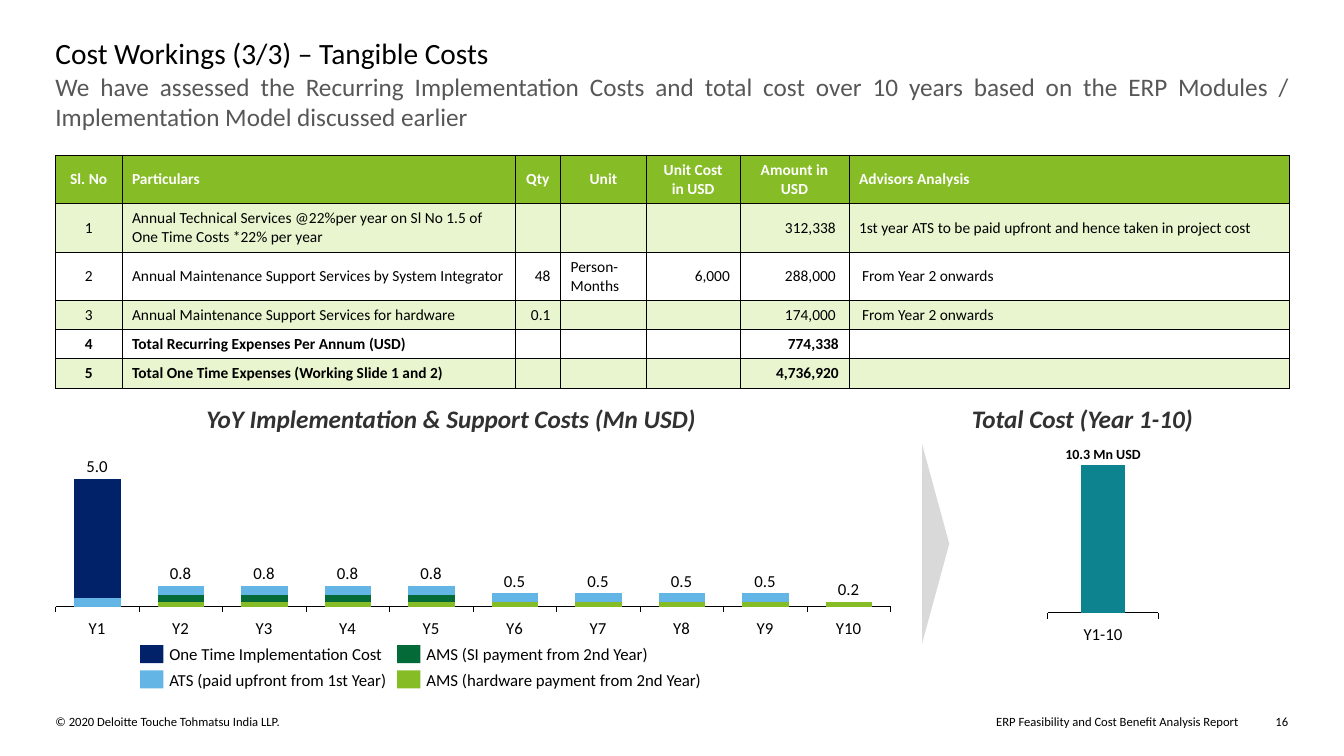
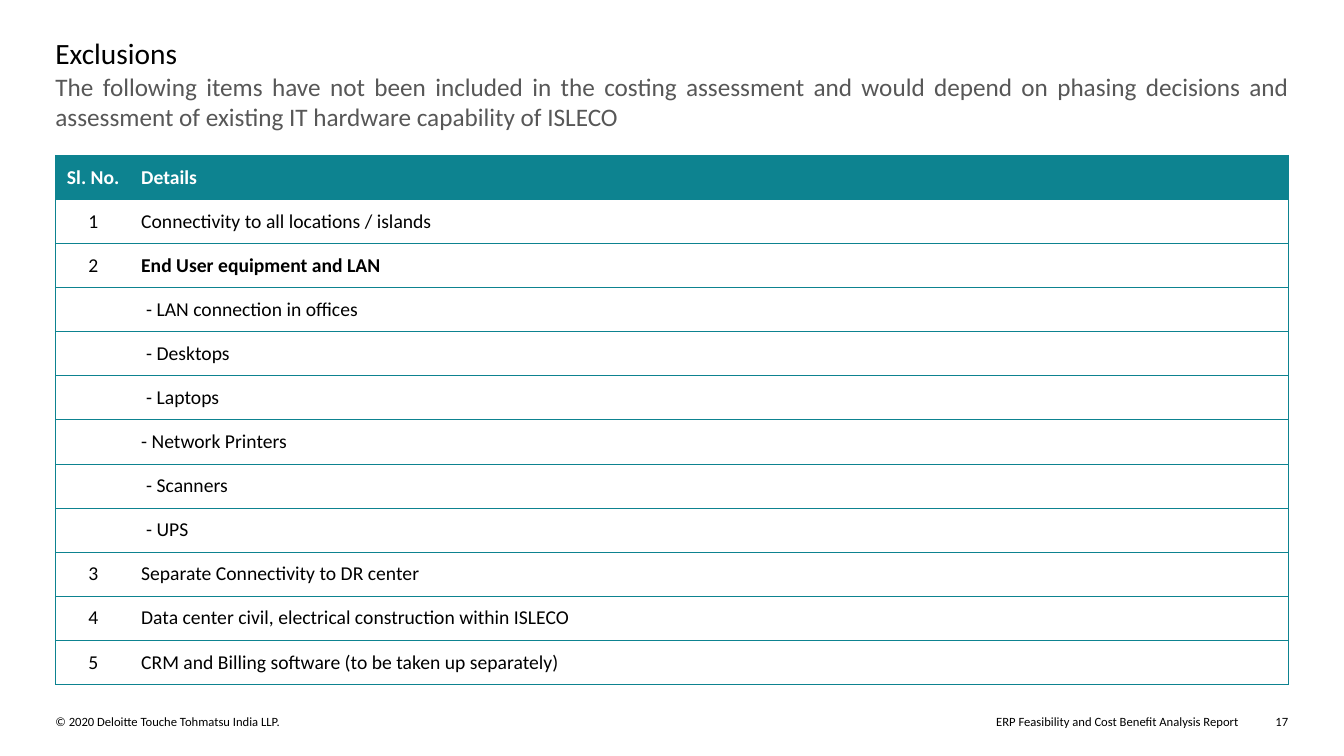
import pptx
import pptx.chart.data
import pptx.dml.color
import pptx.enum.chart
import pptx.enum.shapes
import pptx.enum.text
import pptx.oxml
import pptx.oxml.ns
import pptx.util
from lxml import etree

Inches, Pt = pptx.util.Inches, pptx.util.Pt
ALIGN = {key: getattr(pptx.enum.text.PP_ALIGN, name) for key, name in
         dict(l="LEFT", c="CENTER", r="RIGHT", j="JUSTIFY").items()}
ANCHOR = {key: getattr(pptx.enum.text.MSO_ANCHOR, name) for key, name in
          dict(t="TOP", m="MIDDLE", b="BOTTOM").items()}

FONT = "Calibri"
BLACK, WHITE, GREY, DARK, PALE = "000000", "FFFFFF", "575757", "313131", "D9D9D9"
LIME, MINT, GREEN = "86BC25", "E8F5CF", "046A38"
NAVY, SKY, TEAL = "012169", "62B5E5", "0D8390"
LEFT, WIDTH, TOP = 0.55, 12.24, 1.54
NO_STYLE = "{2D5ABB26-0587-4C30-8999-92F81FD0307C}"

COPY = "© 2020 Deloitte Touche Tohmatsu India LLP."
REPORT = "ERP Feasibility and Cost Benefit Analysis Report"

COSTS = {
    "title": "Cost Workings (3/3) – Tangible Costs",
    "lead": "We have assessed the Recurring Implementation Costs and total cost over 10 years "
            "based on the ERP Modules / Implementation Model discussed earlier",
    "page": "16",
}
COST_COLS = [0.66, 3.9, 0.45, 0.85, 0.93, 1.08, 4.37]
COST_ROWS = [0.48, 0.48, 0.48, 0.29, 0.29, 0.29]
COST_HEAD = ["Sl. No", "Particulars", "Qty", "Unit", "Unit Cost in USD",
             "Amount in USD", "Advisors Analysis"]
COST_BODY = [
    ["1", "Annual Technical Services @22%per year on Sl No 1.5 of One Time Costs *22% per year",
     "", "", "", "312,338", "1st year ATS to be paid upfront and hence taken in project cost"],
    ["2", "Annual Maintenance Support Services by System Integrator",
     "48", "Person-Months", "6,000", "288,000", "From Year 2 onwards"],
    ["3", "Annual Maintenance Support Services for hardware",
     "0.1", "", "", "174,000", "From Year 2 onwards"],
    ["4", "Total Recurring Expenses Per Annum (USD)", "", "", "", "774,338", ""],
    ["5", "Total One Time Expenses (Working Slide 1 and 2)", "", "", "", "4,736,920", ""],
]
HEAD_ALIGN, BODY_ALIGN = "clccccl", "clrlrrl"

# Each series: colour, values, colours of single points
YEARLY = [
    (LIME, [7] + [4] * 9, {0: SKY}),
    (GREEN, [100] + [6] * 4 + [7] * 4 + [None], {0: NAVY, 5: SKY, 6: SKY, 7: SKY, 8: SKY}),
    (SKY, [None] + [7] * 4 + [None] * 5, {}),
]
YEAR_SUMS = ["5.0"] + ["0.8"] * 4 + ["0.5"] * 4 + ["0.2"]
TOTAL = [(TEAL, [100], {})]
LEGEND = [  # columns of left, text width, (colour, text) pairs
    (1.39, 2.2, [(NAVY, "One Time Implementation Cost"),
                 (SKY, "ATS (paid upfront from 1st Year)")]),
    (3.94, 3.2, [(GREEN, "AMS (SI payment from 2nd Year)"),
                 (LIME, "AMS (hardware payment from 2nd Year)")]),
]

EXCLUDED = {
    "title": "Exclusions",
    "lead": "The following items have not been included in the costing assessment and would "
            "depend on phasing decisions and assessment of existing IT hardware capability "
            "of ISLECO",
    "page": "17",
}
ITEM_COLS = [0.75, 11.48]
ITEMS = [  # number, text, left inset
    ("Sl. No.", "Details", 0.1),
    ("1", "Connectivity to all locations / islands", 0.1),
    ("2", "End User equipment and LAN", 0.1),
    ("", "- LAN connection in offices", 0.15),
    ("", "- Desktops", 0.15),
    ("", "- Laptops", 0.15),
    ("", "- Network Printers", 0.1),
    ("", "- Scanners", 0.15),
    ("", "- UPS", 0.15),
    ("3", "Separate Connectivity to DR center", 0.1),
    ("4", "Data center civil, electrical construction within ISLECO", 0.1),
    ("5", "CRM and Billing software (to be taken up separately)", 0.1),
]


def rgb(code):
    return pptx.dml.color.RGBColor.from_string(code)


def write(frame, text, size=12, color=BLACK, bold=False, italic=False, align="l"):
    par = frame.paragraphs[0]
    par.alignment = ALIGN[align]
    if not text:  # an empty cell keeps the height of its text size
        par._p.get_or_add_endParaRPr().set("sz", str(size * 100))
        return
    run = par.add_run()
    run.text = text
    font = run.font
    font.name, font.size, font.bold, font.italic = FONT, Pt(size), bold, italic
    font.color.rgb = rgb(color)


def label(slide, text, box, wrap=True, anchor="t", **style):
    frame = slide.shapes.add_textbox(*map(Inches, box)).text_frame
    frame.word_wrap = wrap
    frame.vertical_anchor = ANCHOR[anchor]
    frame.margin_left = frame.margin_right = frame.margin_top = frame.margin_bottom = 0
    write(frame, text, **style)


def block(slide, kind, box, color):
    shape = slide.shapes.add_shape(kind, *map(Inches, box))
    shape.shadow.inherit = False
    shape.fill.solid()
    shape.fill.fore_color.rgb = rgb(color)
    shape.line.fill.background()
    return shape


def start(deck, title, lead, page):
    """Add a slide with its title, lead text and footer."""
    slide = deck.slides.add_slide(deck.slide_layouts[6])
    label(slide, title, (LEFT, 0.35, WIDTH, 0.37), size=21)
    label(slide, lead, (LEFT, 0.71, WIDTH, 0.83), size=18, color=GREY, align="j")
    label(slide, COPY, (LEFT, 7.08, 5.86, 0.15), size=9)
    label(slide, REPORT, (6.93, 7.08, 5.35, 0.15), size=9, align="r")
    label(slide, page, (12.65, 7.08, 0.15, 0.15), size=9, wrap=False)
    return slide


def grid(slide, cols, rows):
    """Add a plain table without a style."""
    shape = slide.shapes.add_table(len(rows), len(cols), Inches(LEFT), Inches(TOP),
                                   Inches(sum(cols)), Inches(sum(rows)))
    table = shape.table
    table.first_row = table.horz_banding = False
    table._tbl.tblPr.find(pptx.oxml.ns.qn("a:tableStyleId")).text = NO_STYLE
    for part, size in zip(table.columns, cols):
        part.width = Inches(size)
    for part, size in zip(table.rows, rows):
        part.height = Inches(size)
    return table


def cell(table, row, col, text, sides, edge, fill=None, anchor="m",
         left=0.1, right=0.1, pad=0.05, **style):
    """Fill one cell; sides names the borders to draw, such as LRTB."""
    item = table.cell(row, col)
    props = item._tc.get_or_add_tcPr()
    for side in sides:
        props.append(pptx.oxml.parse_xml(
            f'<a:ln{side} {pptx.oxml.ns.nsdecls("a")} w="6350"><a:solidFill>'
            f'<a:srgbClr val="{edge}"/></a:solidFill></a:ln{side}>'))
    if fill:
        item.fill.solid()
        item.fill.fore_color.rgb = rgb(fill)
    else:
        item.fill.background()
    item.vertical_anchor = ANCHOR[anchor]
    item.margin_left, item.margin_right = Inches(left), Inches(right)
    item.margin_top = item.margin_bottom = Inches(pad)
    write(item.text_frame, text, **style)


def place(chart, area):
    """Fix the inner plot area as fractions x, y, w, h of the chart."""
    plot = chart._chartSpace.chart.plotArea
    for old in plot.findall(pptx.oxml.ns.qn("c:layout")):
        plot.remove(old)
    layout = etree.Element(pptx.oxml.ns.qn("c:layout"))
    manual = etree.SubElement(layout, pptx.oxml.ns.qn("c:manualLayout"))
    pairs = [("layoutTarget", "inner"), ("xMode", "edge"), ("yMode", "edge"),
             *zip("xywh", area)]
    for tag, value in pairs:
        etree.SubElement(manual, pptx.oxml.ns.qn("c:" + tag)).set("val", str(value))
    plot.insert(0, layout)


def stack(slide, box, series, top, gap, area):
    """Add a stacked column chart that shows only its bars and base line."""
    kinds = pptx.enum.chart
    data = pptx.chart.data.CategoryChartData()
    data.categories = [str(i + 1) for i in range(len(series[0][1]))]
    for i, (_, values, _) in enumerate(series, 1):
        data.add_series(f"Series {i}", values)
    chart = slide.shapes.add_chart(kinds.XL_CHART_TYPE.COLUMN_STACKED,
                                   *map(Inches, box), data).chart
    chart.has_legend = chart.has_title = False
    chart.font.name, chart.font.size = FONT, Pt(10)
    chart.font.color.rgb = rgb(BLACK)
    plot = chart.plots[0]
    plot.gap_width, plot.overlap, plot.vary_by_categories = gap, 100, False
    for bars, (color, _, points) in zip(plot.series, series):
        bars.format.fill.solid()
        bars.format.fill.fore_color.rgb = rgb(color)
        for i, tint in points.items():
            fill = bars.points[i].format.fill
            fill.solid()
            fill.fore_color.rgb = rgb(tint)
    base, scale = chart.category_axis, chart.value_axis
    base.tick_label_position = kinds.XL_TICK_LABEL_POSITION.NONE
    base.major_tick_mark = kinds.XL_TICK_MARK.OUTSIDE
    base.format.line.color.rgb = rgb(BLACK)
    base.format.line.width = Pt(0.75)
    scale.visible = scale.has_major_gridlines = False
    scale.minimum_scale, scale.maximum_scale = 0, top
    place(chart, area)


def cost_table(slide):
    table = grid(slide, COST_COLS, COST_ROWS)
    for col, text in enumerate(COST_HEAD):
        cell(table, 0, col, text, "LRTB", BLACK, LIME, size=11, color=WHITE,
             bold=True, align=HEAD_ALIGN[col])
    for row, texts in enumerate(COST_BODY, 1):
        bold = row > 3
        for col, text in enumerate(texts):
            cell(table, row, col, text, "LRTB", BLACK, MINT if row % 2 else None,
                 left=0.13 if text.startswith("From") else 0.1,
                 right=0.13 if col == 5 and not bold else 0.1,
                 size=11, bold=bold, align=BODY_ALIGN[col])


def year_chart(slide):
    x, y, w, h = box = 0.46, 4.66, 8.46, 1.45
    area = fx, fy, fw, fh = 0.011, 0.062, 0.979, 0.875
    sums = [sum(v or 0 for v in vals) for vals in zip(*(s[1] for s in YEARLY))]
    peak = max(sums)
    stack(slide, box, YEARLY, peak, 80, area)
    step, base = w * fw / len(sums), y + h * (fy + fh)
    for i, (total, text) in enumerate(zip(sums, YEAR_SUMS)):
        left = x + w * fx + step * (i + 0.5) - 0.14
        top = base - h * fh * total / peak - 0.23
        label(slide, text, (left, top, 0.27, 0.2), wrap=False, anchor="b", align="c")
        label(slide, f"Y{i + 1}", (left, 6.13, 0.27, 0.2), wrap=False, align="c")
    for left, width, keys in LEGEND:
        for row, (color, text) in enumerate(keys):
            top = 6.4 + 0.25 * row
            block(slide, pptx.enum.shapes.MSO_SHAPE.RECTANGLE, (left, top, 0.23, 0.18), color)
            label(slide, text, (left + 0.29, top - 0.01, width, 0.2), wrap=False, anchor="m")


def total_chart(slide):
    stack(slide, (10.3, 4.52, 1.28, 1.65), TOTAL, 100, 150, (0.07, 0.055, 0.859, 0.89))
    label(slide, "Y1-10", (10.74, 6.19, 0.4, 0.2), wrap=False, align="c")
    label(slide, "10.3 Mn USD", (10.54, 4.42, 0.8, 0.17), wrap=False, anchor="b",
          size=10, bold=True, align="c")


def cost_slide(deck):
    slide = start(deck, **COSTS)
    cost_table(slide)
    year_chart(slide)
    wedge = block(slide, pptx.enum.shapes.MSO_SHAPE.ISOSCELES_TRIANGLE,
                  (8.29, 5.26, 1.98, 0.27), PALE)
    wedge.rotation = 90
    total_chart(slide)
    for text, left in [("YoY Implementation & Support Costs (Mn USD)", 1.88),
                       ("Total Cost (Year 1-10)", 8.14)]:
        label(slide, text, (left, 4, 5.19, 0.3), size=18, color=DARK, bold=True,
              italic=True, align="c")


def item_slide(deck):
    slide = start(deck, **EXCLUDED)
    table = grid(slide, ITEM_COLS, [5.25 / len(ITEMS)] * len(ITEMS))
    for row, (number, text, inset) in enumerate(ITEMS):
        head = row == 0
        look = dict(edge=TEAL, fill=TEAL if head else None, anchor="b", pad=0.1,
                    size=14, color=WHITE if head else BLACK)
        cell(table, row, 0, number, "LTB", bold=head, align="c", **look)
        cell(table, row, 1, text, "RTB", bold=head or text.startswith("End User"),
             left=inset, **look)


def main():
    deck = pptx.Presentation()
    deck.slide_width, deck.slide_height = Inches(13.33), Inches(7.5)
    cost_slide(deck)
    item_slide(deck)
    deck.save("out.pptx")


if __name__ == "__main__":
    main()
